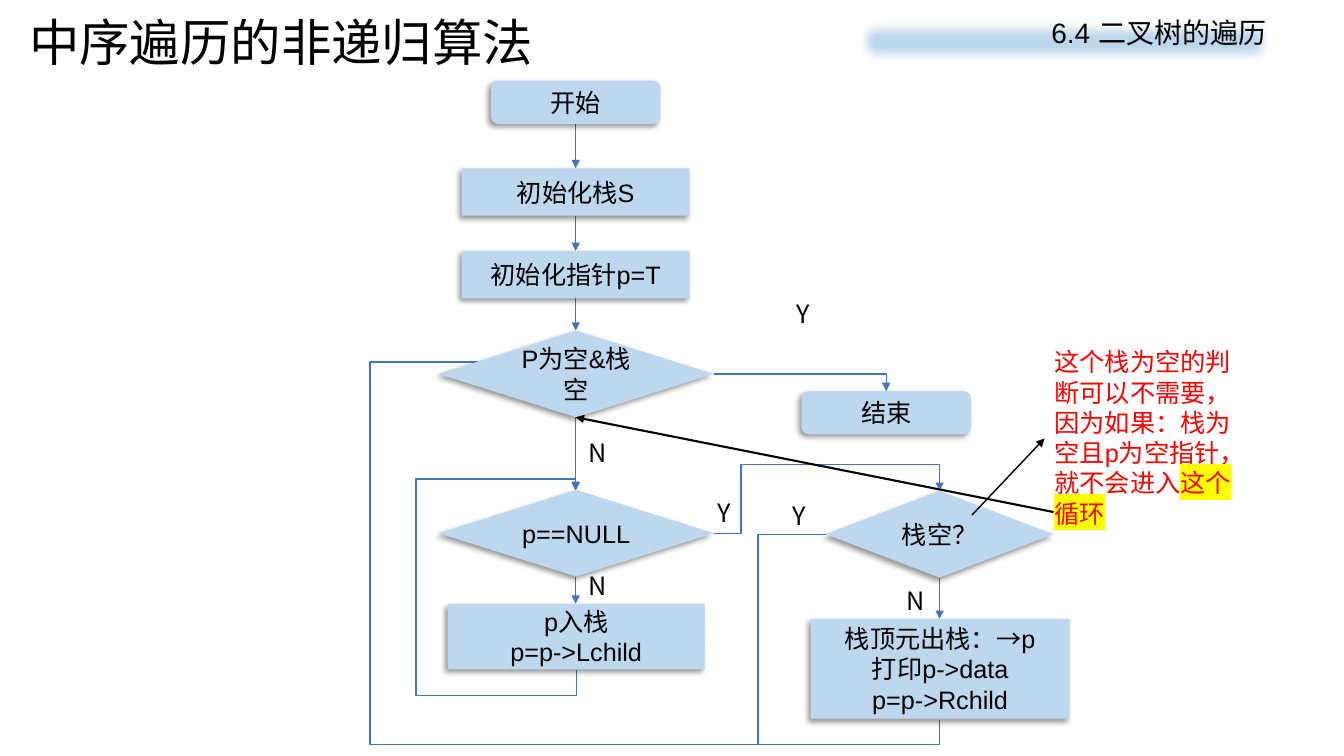
"""Build the flowchart slide for non-recursive in-order traversal."""
from dataclasses import dataclass

from lxml.etree import SubElement
from pptx import Presentation
from pptx.dml.color import RGBColor
from pptx.enum.shapes import MSO_CONNECTOR as Link, MSO_SHAPE as Shape
from pptx.enum.text import MSO_ANCHOR as Anchor, PP_ALIGN as Align
from pptx.oxml.ns import qn
from pptx.util import Inches, Pt

CJK = "Noto Sans CJK SC"
BLACK, RED, YELLOW = "000000", "FF0000", "FFFF00"
PALE_BLUE, LINE_BLUE = "BDD7EE", "4472C4"
MAIN_X, STACK_X = 5.71, 9.32


@dataclass
class Step:
    kind: Shape
    left: float
    top: float
    width: float
    height: float
    lines: tuple[str, ...]
    inset: float = 0.05


@dataclass
class Label:
    text: str
    left: float
    top: float


@dataclass
class Route:
    points: tuple[tuple[float, float], ...]
    color: str = LINE_BLUE
    weight: float = 1
    arrow: bool = True


STEPS = [
    Step(Shape.ROUNDED_RECTANGLE, 4.87, 0.8, 1.68, 0.43, ("开始",)),
    Step(Shape.RECTANGLE, 4.58, 1.67, 2.26, 0.47, ("初始化栈S",)),
    Step(Shape.RECTANGLE, 4.58, 2.49, 2.26, 0.47, ("初始化指针p=T",)),
    Step(Shape.FLOWCHART_DECISION, 4.35, 3.28, 2.73, 0.86, ("P为空&栈空",)),
    Step(Shape.ROUNDED_RECTANGLE, 7.95, 3.88, 1.68, 0.43, ("结束",)),
    Step(Shape.FLOWCHART_DECISION, 4.35, 4.86, 2.73, 0.86, ("p==NULL",)),
    Step(Shape.RECTANGLE, 4.44, 5.99, 2.55, 0.65, ("p入栈", "p=p->Lchild"), 0),
    Step(Shape.FLOWCHART_DECISION, 8.19, 4.87, 2.26, 0.86, ("栈空？",)),
    Step(Shape.RECTANGLE, 8.04, 6.14, 2.57, 0.99,
         ("栈顶元出栈：→p", "打印p->data", "p=p->Rchild")),
]
LABELS = [
    Label("Y", 7.8, 2.91), Label("N", 5.74, 4.29), Label("Y", 7.02, 4.88),
    Label("Y", 7.76, 4.91), Label("N", 5.74, 5.61), Label("N", 8.89, 5.76),
]
DOWNWARD = [
    (MAIN_X, 1.23, 1.67), (MAIN_X, 2.14, 2.49), (MAIN_X, 2.96, 3.28),
    (MAIN_X, 4.14, 4.86), (MAIN_X, 5.72, 5.99), (STACK_X, 5.73, 6.14),
]
ROUTES = [Route(((x, top), (x, bottom))) for x, top, bottom in DOWNWARD] + [
    Route(((7.08, 3.71), (8.79, 3.71), (8.79, 3.88))),
    Route(((7.08, 5.29), (7.35, 5.29), (7.35, 4.61), (STACK_X, 4.61), (STACK_X, 4.87))),
    Route(((5.72, 6.65), (5.72, 6.9), (4.1, 6.9), (4.1, 4.75), (MAIN_X, 4.75), (MAIN_X, 4.87))),
    Route(((STACK_X, 7.14), (STACK_X, 7.39), (3.67, 7.39), (3.67, 3.59), (MAIN_X, 3.59))),
    Route(((8.19, 5.3), (7.52, 5.3), (7.52, 7.38)), arrow=False),
]
POINTERS = [
    Route(((10.45, 5.08), (MAIN_X, 4.14)), BLACK, 1.5),
    Route(((9.64, 5.11), (10.36, 4.35)), BLACK),
]


def rgb(value: str) -> RGBColor:
    return RGBColor.from_string(value)


def add_run(paragraph, text: str, size: float = 18, font: str = "Arial",
            color: str = BLACK, highlight: str = "") -> None:
    run = paragraph.add_run()
    run.text = text
    run.font.size = Pt(size)
    run.font.color.rgb = rgb(color)
    properties = run.font._element
    if highlight:
        SubElement(SubElement(properties, qn("a:highlight")), qn("a:srgbClr"), val=highlight)
    run.font.name = font
    SubElement(properties, qn("a:ea"), typeface=CJK)


def add_text_frame(slide, left: float, top: float, width: float, height: float):
    frame = slide.shapes.add_textbox(*map(Inches, (left, top, width, height))).text_frame
    frame.word_wrap = True
    return frame


def add_block(slide, kind: Shape, *box: float):
    block = slide.shapes.add_shape(kind, *map(Inches, box))
    block.shadow.inherit = False
    block.fill.solid()
    block.fill.fore_color.rgb = rgb(PALE_BLUE)
    block.line.fill.background()
    return block, block._element.spPr.find(qn("a:effectLst"))


def add_step(slide, step: Step) -> None:
    block, effects = add_block(slide, step.kind, step.left, step.top, step.width, step.height)
    shadow = SubElement(effects, qn("a:outerShdw"), blurRad=str(Pt(4)), dist=str(Pt(3)),
                        dir="8100000", algn="tr", rotWithShape="0")
    shade = SubElement(shadow, qn("a:srgbClr"), val=BLACK)
    SubElement(shade, qn("a:alpha"), val="40000")
    frame = block.text_frame
    frame.word_wrap = True
    frame.vertical_anchor = Anchor.MIDDLE
    frame.margin_top = frame.margin_bottom = Inches(step.inset)
    for index, line in enumerate(step.lines):
        paragraph = frame.add_paragraph() if index else frame.paragraphs[0]
        paragraph.alignment = Align.CENTER
        add_run(paragraph, line)


def add_route(slide, route: Route) -> None:
    start, end = route.points[0], route.points[-1]
    span = (end[0] - start[0], end[1] - start[1])
    bends = len(route.points) - 2
    starts_down = bends > 0 and route.points[1][0] == start[0]
    begin_at, end_at = start, end
    if starts_down:
        center = ((start[0] + end[0]) / 2, (start[1] + end[1]) / 2)
        half = (span[1] / 2, -span[0] / 2)
        begin_at = (center[0] - half[0], center[1] - half[1])
        end_at = (center[0] + half[0], center[1] + half[1])
    link = slide.shapes.add_connector(Link.ELBOW if bends else Link.STRAIGHT,
                                      *map(Inches, (*begin_at, *end_at)))
    link.line.color.rgb = rgb(route.color)
    link.line.width = Pt(route.weight)
    properties = link._element.spPr
    if starts_down:
        properties.find(qn("a:xfrm")).set("rot", "5400000")
    if bends:
        geometry = properties.find(qn("a:prstGeom"))
        geometry.set("prst", f"bentConnector{bends + 1}")
        guides = geometry.find(qn("a:avLst"))
        for number, point in enumerate(route.points[1:-2], 1):
            axis = (number + 1 + starts_down) % 2
            share = round((point[axis] - start[axis]) / span[axis] * 100000)
            SubElement(guides, qn("a:gd"), name=f"adj{number}", fmla=f"val {share}")
    if route.arrow:
        SubElement(properties.find(qn("a:ln")), qn("a:tailEnd"), type="triangle")
    SubElement(properties, qn("a:effectLst"))


def add_heading(slide) -> None:
    title = add_text_frame(slide, 0.19, 0.07, 8, 0.75)
    title.vertical_anchor = Anchor.MIDDLE
    title.paragraphs[0].line_spacing = 0.9
    add_run(title.paragraphs[0], "中序遍历的非递归算法", 36, CJK)
    section, effects = add_block(slide, Shape.RECTANGLE, 8.46, 0.14, 4.2, 0.54)
    SubElement(effects, qn("a:softEdge"), rad=str(Pt(9)))
    section.text_frame.vertical_anchor = Anchor.TOP
    paragraph = section.text_frame.paragraphs[0]
    paragraph.alignment = Align.RIGHT
    paragraph.line_spacing = 0.9
    add_run(paragraph, "6.4 二叉树的遍历", 20)


def main() -> None:
    deck = Presentation()
    deck.slide_width, deck.slide_height = Inches(13.33), Inches(7.5)
    slide = deck.slides.add_slide(deck.slide_layouts[6])
    add_heading(slide)
    for route in ROUTES:
        add_route(slide, route)
    for step in STEPS:
        add_step(slide, step)
    for label in LABELS:
        frame = add_text_frame(slide, label.left, label.top, 0.36, 0.4)
        add_run(frame.paragraphs[0], label.text, font=CJK)
    remark = add_text_frame(slide, 10.36, 3.39, 2.12, 1.92).paragraphs[0]
    add_run(remark, "这个栈为空的判断可以不需要，因为如果：栈为空且p为空指针，就不会进入", color=RED)
    add_run(remark, "这个循环", color=RED, highlight=YELLOW)
    for pointer in POINTERS:
        add_route(slide, pointer)
    deck.save("out.pptx")


if __name__ == "__main__":
    main()
